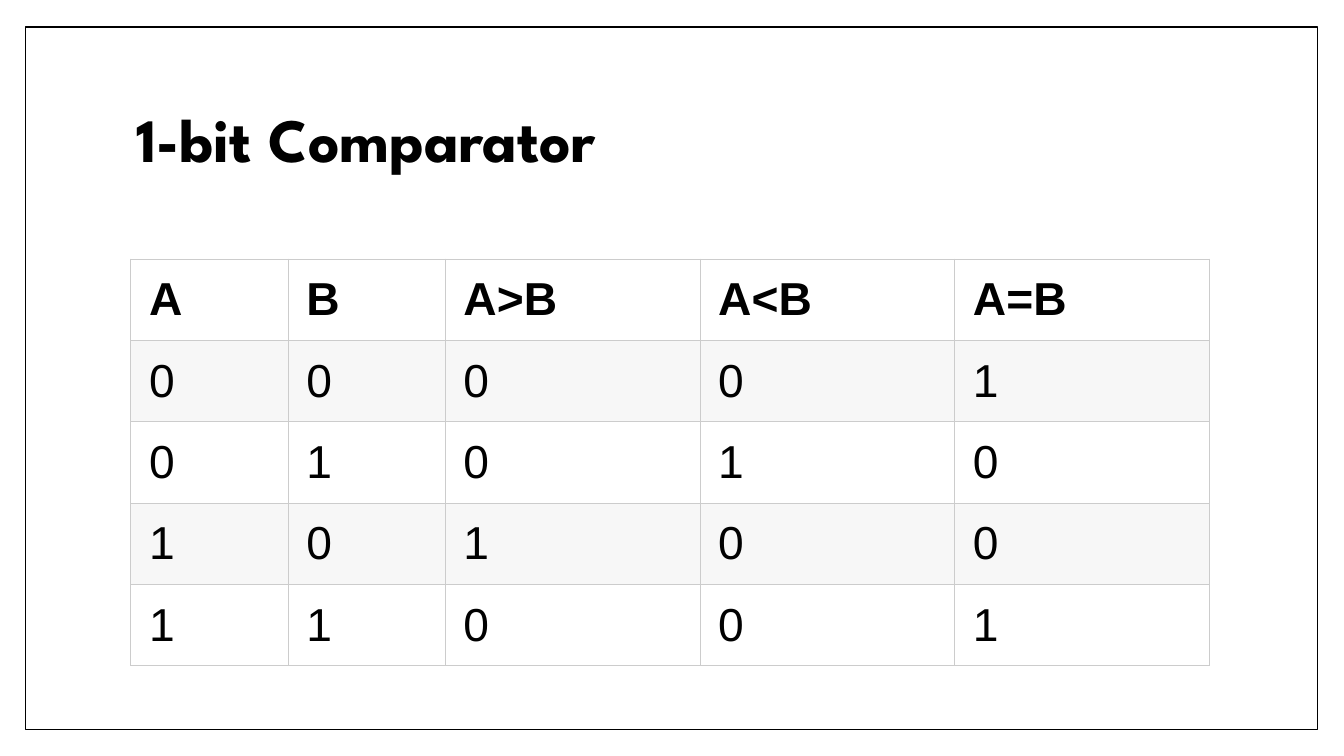
from lxml.etree import SubElement as Sub
from pptx import Presentation
from pptx.dml.color import RGBColor as RGB
from pptx.enum.shapes import MSO_SHAPE as Shape
from pptx.enum.text import MSO_ANCHOR as Anchor, MSO_AUTO_SIZE as Fit, PP_ALIGN as Align
from pptx.oxml.ns import qn
from pptx.util import Cm, Pt

HUES = {"ink": "000000", "paper": "FFFFFF", "band": "F7F7F7", "grid": "CCCCCC"}
HEAD = ["A", "B", "A>B", "A<B", "A=B"]
WIDTHS = [3.96, 3.96, 6.42, 6.42, 6.42]
ROW = 2.05
CELL = {
    "margin_left": Cm(0.46), "margin_right": Cm(0.46),
    "margin_top": Cm(0.23), "margin_bottom": Cm(0.23),
    "vertical_anchor": Anchor.MIDDLE,
}


def hue(name):
    return RGB.from_string(HUES[name])


def apply(item, values):
    for key, value in values.items():
        setattr(item, key, value)


def write(frame, text, face, size, bold):
    frame.text = text
    line = frame.paragraphs[0]
    line.alignment = Align.LEFT
    font = line.runs[0].font
    apply(font, {"name": face, "size": Pt(size), "bold": bold})
    font.color.rgb = hue("ink")
    return line


def add_frame(slide):
    box = slide.shapes.add_shape(Shape.RECTANGLE, Cm(0.64), Cm(0.68), Cm(32.56), Cm(17.7))
    box.shadow.inherit = False
    box.fill.solid()
    box.fill.fore_color.rgb = hue("paper")
    box.line.color.rgb = hue("ink")
    box.line.width = Pt(1)
    slide.shapes._spTree.insert(2, box._element)  # behind the title


def set_title(slide, text):
    title = slide.shapes.title
    apply(title, {"left": Cm(3.18), "top": Cm(1.7), "width": Cm(27.43), "height": Cm(3.76)})
    line = write(title.text_frame, text, "League Spartan", 44, True)
    line.line_spacing = 0.9
    apply(title.text_frame, {
        "vertical_anchor": Anchor.MIDDLE, "word_wrap": True, "auto_size": Fit.NONE,
        "margin_left": Cm(0.25), "margin_right": Cm(0.25),
        "margin_top": Cm(0.13), "margin_bottom": Cm(0.13),
    })


def add_rules(cell):
    """Draw a thin border on all four sides of a cell."""
    props = cell._tc.get_or_add_tcPr()
    for side in ("lnL", "lnR", "lnT", "lnB"):
        rule = Sub(props, qn(f"a:{side}"), w=str(Pt(0.75)))
        fill = Sub(rule, qn("a:solidFill"))
        Sub(fill, qn("a:srgbClr"), val=HUES["grid"])


def fill_cell(cell, text, row):
    apply(cell, CELL)
    write(cell.text_frame, text, "Arial", 33, row == 0)
    add_rules(cell)
    if row % 2:
        cell.fill.solid()
        cell.fill.fore_color.rgb = hue("band")
    else:
        cell.fill.background()


def add_truth(slide):
    """Add the truth table, with its outputs worked out from A and B."""
    rows = [HEAD] + [
        [str(int(bit)) for bit in (a, b, a > b, a < b, a == b)]
        for a in (0, 1) for b in (0, 1)
    ]
    table = slide.shapes.add_table(
        len(rows), len(HEAD), Cm(3.3), Cm(6.53), Cm(sum(WIDTHS)), Cm(ROW * len(rows))
    ).table
    apply(table, {"first_row": False, "horz_banding": False})
    for col, width in zip(table.columns, WIDTHS):
        col.width = Cm(width)
    for r, texts in enumerate(rows):
        table.rows[r].height = Cm(ROW)
        for c, text in enumerate(texts):
            fill_cell(table.cell(r, c), text, r)


def main():
    deck = Presentation()
    apply(deck, {"slide_width": Cm(33.87), "slide_height": Cm(19.05)})
    slide = deck.slides.add_slide(deck.slide_layouts[5])
    add_frame(slide)
    set_title(slide, "1-bit Comparator")
    add_truth(slide)
    deck.save("out.pptx")


if __name__ == "__main__":
    main()
